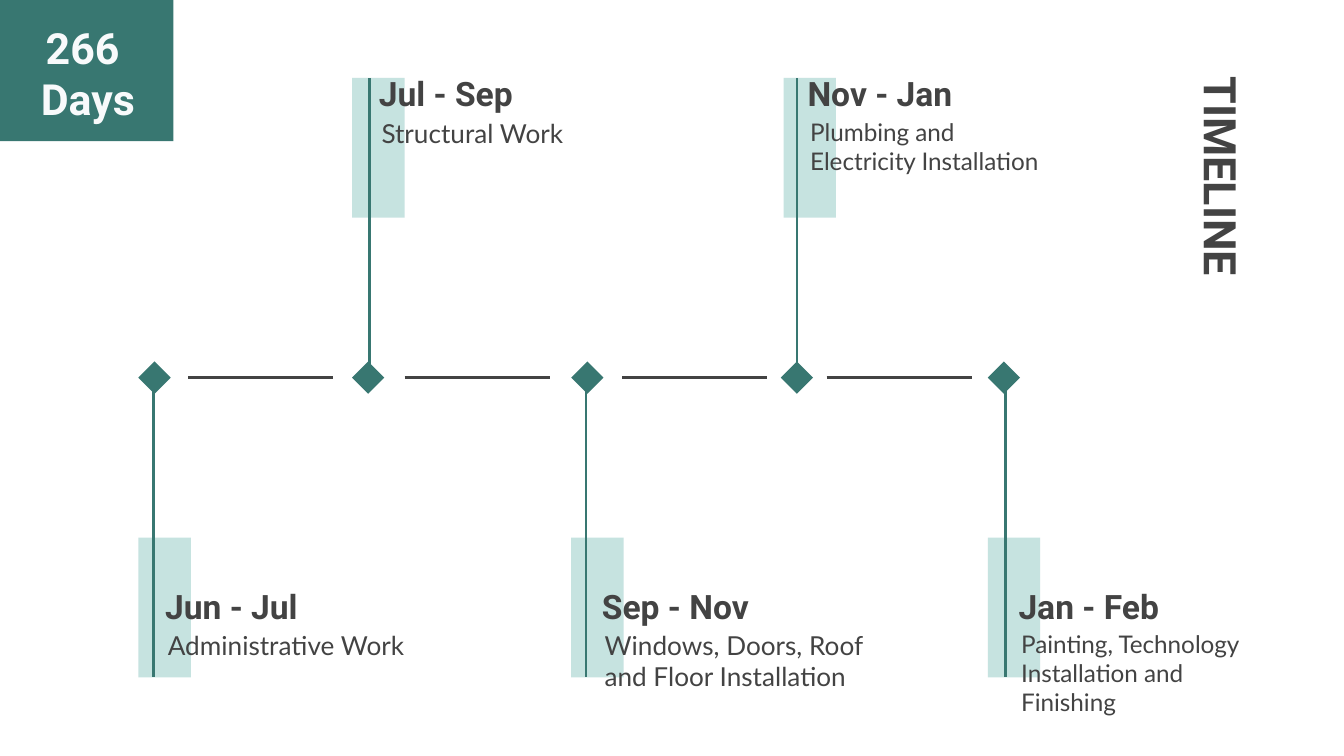
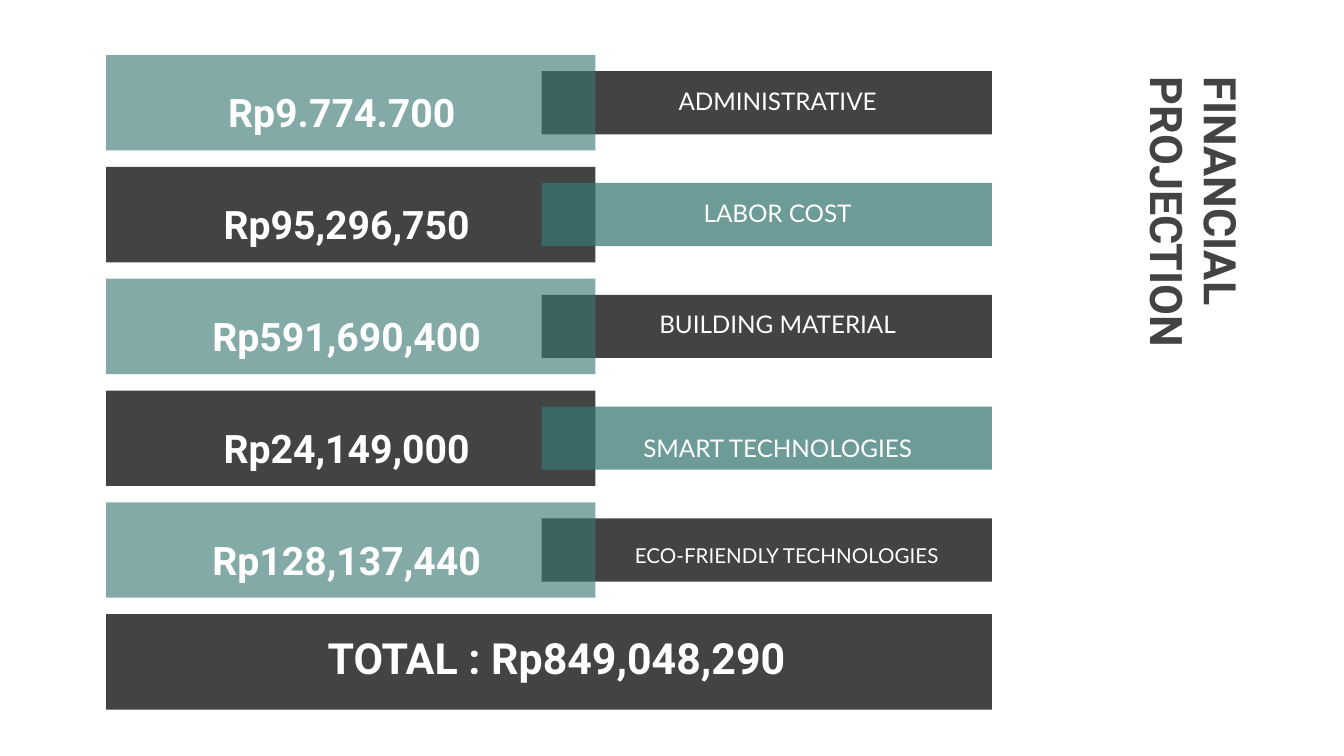
import pptx
import pptx.dml.color
import pptx.enum.shapes
import pptx.enum.text
import pptx.oxml.ns
import pptx.util
from lxml import etree

Inches = pptx.util.Inches
Pt = pptx.util.Pt
rgb = pptx.dml.color.RGBColor.from_string
qn = pptx.oxml.ns.qn
Shape = pptx.enum.shapes.MSO_SHAPE
Align = pptx.enum.text.PP_ALIGN

GREEN, PALE, DARK, WHITE = "387771", "9ECFCB", "434343", "FFFFFF"
HEADING, BODY = "Roboto", "Lato"


def add_block(slide, kind, box, color, opacity=100):
    block = slide.shapes.add_shape(kind, *map(Inches, box))
    block.shadow.inherit = False
    block.line.fill.background()
    block.fill.solid()
    block.fill.fore_color.rgb = rgb(color)
    if opacity < 100:
        fill_color = block._element.spPr.find(".//" + qn("a:srgbClr"))
        etree.SubElement(fill_color, qn("a:alpha"), val=str(opacity * 1000))


def write(box, text, size, font, color, align=Align.LEFT):
    """Fill a text box or title, one paragraph per line; headings are bold."""
    frame = box.text_frame
    frame.text = text
    frame.word_wrap = True
    frame.auto_size = pptx.enum.text.MSO_AUTO_SIZE.NONE
    frame.vertical_anchor = pptx.enum.text.MSO_ANCHOR.TOP
    frame.margin_left = frame.margin_right = Inches(0.1)
    frame.margin_top = frame.margin_bottom = Inches(0.1)
    for paragraph in frame.paragraphs:
        paragraph.alignment = align
        paragraph.font.size = Pt(size)
        paragraph.font.name = font
        paragraph.font.bold = font == HEADING
        paragraph.font.color.rgb = rgb(color)


deck = pptx.Presentation()
deck.slide_width, deck.slide_height = Inches(10), Inches(10 * 9 / 16)

slides = []
for heading in ["TIMELINE", "FINANCIAL PROJECTION"]:
    slide = deck.slides.add_slide(deck.slide_layouts[5])
    title = slide.shapes.title
    title.left, title.top = Inches(7.22), Inches(2.11)
    title.width, title.height = Inches(3.81), Inches(0.53)
    title.rotation = 90
    write(title, heading, 24, HEADING, DARK)
    slides.append(slide)
timeline, finance = slides

# Timeline: milestones alternate below and above the axis
AXIS = 2.81
MARKER = 0.24
# band left, marker left, stem x, text left, period, work, work size, work width
milestones = [
    (1.03, 1.03, 1.14, 1.13, "Jun - Jul", "Administrative Work", 14, 2.02),
    (2.62, 2.62, 2.75, 2.72, "Jul - Sep", "Structural Work", 14, 2.02),
    (4.25, 4.25, 4.36, 4.38, "Sep - Nov", "Windows, Doors, Roof and Floor Installation", 14, 2.32),
    (5.83, 5.81, 5.93, 5.91, "Nov - Jan", "Plumbing and Electricity Installation", 13, 2.02),
    (7.35, 7.35, 7.48, 7.48, "Jan - Feb", "Painting, Technology Installation and Finishing", 13, 2.02),
]
lines = [(x, AXIS, x + 1.08, AXIS, DARK) for x in (1.4, 3.01, 4.63, 6.15)]
for index, (band_left, _, stem, *_) in enumerate(milestones):
    above = index % 2 == 1
    add_block(timeline, Shape.RECTANGLE, (band_left, 0.58 if above else 4, 0.39, 1.04), PALE, 58)
    lines.append((stem, AXIS, stem, 0.58 if above else 5.04, GREEN))

for *ends, color in lines:
    line = timeline.shapes.add_connector(
        pptx.enum.shapes.MSO_CONNECTOR.STRAIGHT, *map(Inches, ends))
    line.line.color.rgb = rgb(color)
    line.line.width = Pt(1.5)
    etree.SubElement(line._element.spPr, qn("a:effectLst"))

for index, (_, left, _, text_left, period, work, size, width) in enumerate(milestones):
    period_top, work_top = (0.44, 0.77) if index % 2 else (4.26, 4.58)
    add_block(timeline, Shape.DIAMOND, (left, AXIS - MARKER / 2, MARKER, MARKER), GREEN)
    work_box = timeline.shapes.add_textbox(
        Inches(text_left + 0.02), Inches(work_top), Inches(width), Inches(0.7))
    write(work_box, work, size, BODY, DARK)
    period_box = timeline.shapes.add_textbox(
        Inches(text_left), Inches(period_top), Inches(1.89), Inches(0.46))
    write(period_box, period, 18, HEADING, DARK)

add_block(timeline, Shape.RECTANGLE, (0, 0, 1.29, 1.05), GREEN)
duration = timeline.shapes.add_textbox(Inches(-0.29), Inches(0.06), Inches(1.89), Inches(0.98))
write(duration, "266 \nDays", 23, HEADING, "F8FAFB", Align.CENTER)

# Financial projection: amount bars overlapped by category bars, then the total
FIRST_ROW, TOTAL_ROW = 0.41, 4.57
# amount, category, category size, category text left, top offset, width
costs = [
    ("Rp9.774.700 ", "ADMINISTRATIVE", 13, 4.58, 0.13, 2.41),
    ("Rp95,296,750", "LABOR COST", 13, 4.58, 0.13, 2.41),
    ("Rp591,690,400", "BUILDING MATERIAL", 13, 4.58, 0.13, 2.41),
    ("Rp24,149,000", "SMART TECHNOLOGIES", 13, 4.58, 0.22, 2.41),
    ("Rp128,137,440", "ECO-FRIENDLY TECHNOLOGIES", 11, 4.5, 0.2, 2.71),
]
pitch = (TOTAL_ROW - FIRST_ROW) / len(costs)
for index, (amount, category, size, left, offset, width) in enumerate(costs):
    top = FIRST_ROW + index * pitch
    amount_bar = (0.79, top, 3.64, 0.71)
    category_bar = (4.03, top + 0.12, 3.35, 0.47)
    if index % 2:
        add_block(finance, Shape.RECTANGLE, amount_bar, DARK)
        add_block(finance, Shape.RECTANGLE, category_bar, GREEN, 73)
    else:
        add_block(finance, Shape.RECTANGLE, category_bar, DARK)
        add_block(finance, Shape.RECTANGLE, amount_bar, GREEN, 62)
    amount_box = finance.shapes.add_textbox(
        Inches(0.94), Inches(top + 0.15), Inches(3.28), Inches(0.3))
    write(amount_box, amount, 21, HEADING, WHITE, Align.CENTER)
    category_box = finance.shapes.add_textbox(
        Inches(left), Inches(top + offset), Inches(width), Inches(0.3))
    write(category_box, category, size, BODY, WHITE, Align.CENTER)

add_block(finance, Shape.RECTANGLE, (0.79, TOTAL_ROW, 6.59, 0.71), DARK)
total = finance.shapes.add_textbox(Inches(2.34), Inches(4.6), Inches(4.84), Inches(0.3))
write(total, "TOTAL : Rp849,048,290", 23, HEADING, WHITE)

deck.save("out.pptx")
